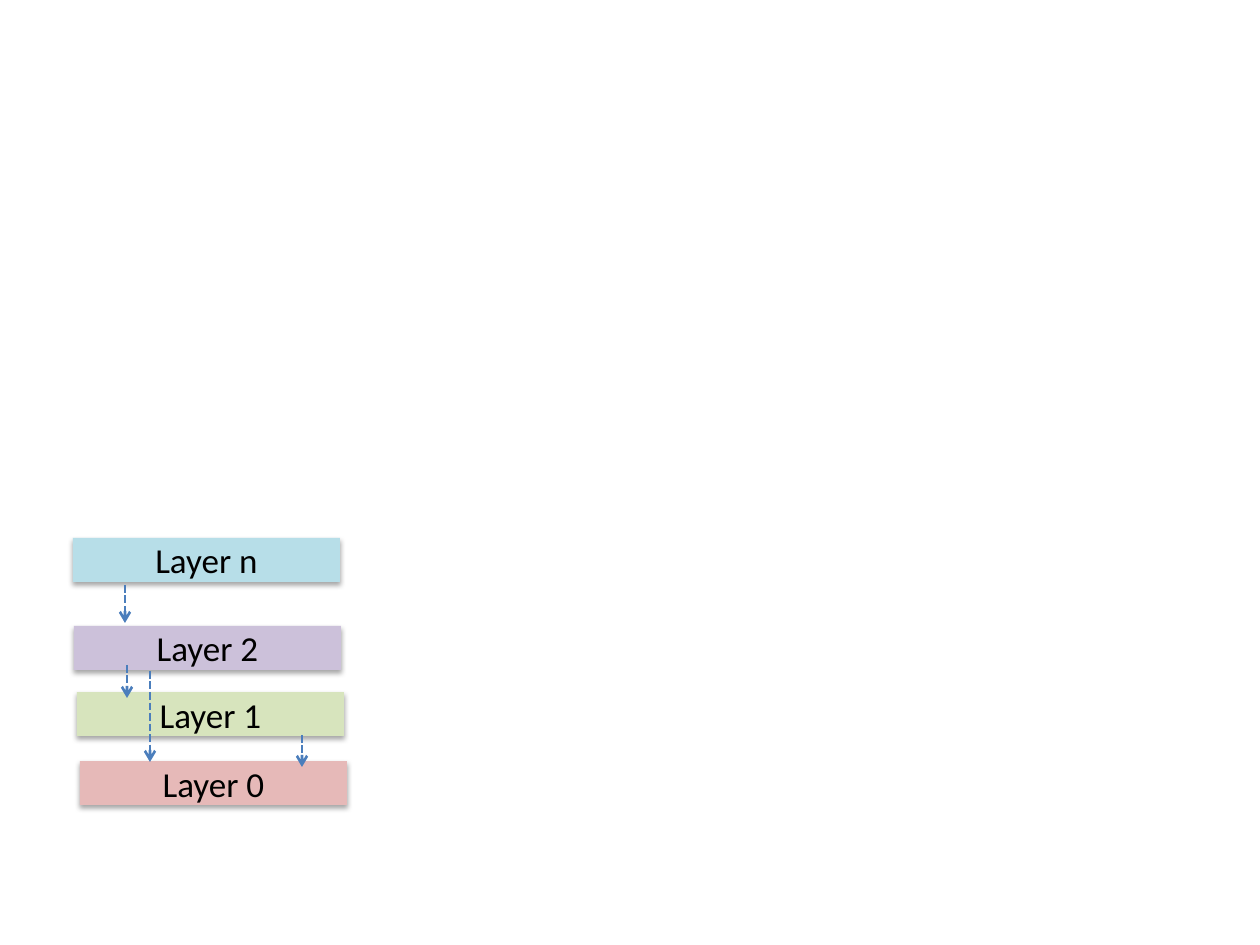
from typing import NamedTuple

from lxml.etree import SubElement
from pptx import Presentation
from pptx.dml.color import RGBColor
from pptx.enum.dml import MSO_LINE
from pptx.enum.shapes import MSO_CONNECTOR, MSO_SHAPE
from pptx.enum.text import MSO_ANCHOR, PP_ALIGN
from pptx.oxml.ns import qn
from pptx.util import Inches, Pt

PX_PER_INCH = 126
LAYER_WIDTH, LAYER_HEIGHT = 267, 44

BLACK = RGBColor(0x00, 0x00, 0x00)
ROSE = RGBColor(0xE6, 0xB9, 0xB8)
GREEN = RGBColor(0xD7, 0xE4, 0xBD)
VIOLET = RGBColor(0xCC, 0xC1, 0xDA)
AQUA = RGBColor(0xB7, 0xDE, 0xE8)
ARROW_BLUE = RGBColor(0x4B, 0x7E, 0xBC)


class Layer(NamedTuple):
    label: str
    left: int
    top: int
    fill: RGBColor


class Dependency(NamedTuple):
    x: int
    top: int
    bottom: int


LAYERS = (
    Layer("Layer 0", 80, 761, ROSE),
    Layer("Layer 1", 77, 692, GREEN),
    Layer("Layer 2", 74, 626, VIOLET),
    Layer("Layer n", 73, 538, AQUA),
)
DEPENDENCIES = (
    Dependency(127, 665, 698),
    Dependency(125, 585, 623),
    Dependency(150, 671, 762),
    Dependency(302, 735, 767),
)


def px(length: int) -> int:
    return Inches(length / PX_PER_INCH)


def write_text(frame, text: str, *, size: int, color: RGBColor,
               font: str = "Calibri", align=PP_ALIGN.CENTER) -> None:
    frame.vertical_anchor = MSO_ANCHOR.MIDDLE
    frame.word_wrap = True
    paragraph = frame.paragraphs[0]
    paragraph.alignment = align
    run = paragraph.add_run()
    run.text = text
    run.font.name = font
    run.font.size = Pt(size)
    run.font.color.rgb = color


def add_shadow(bar) -> None:
    bar.shadow.inherit = False
    effects = bar._element.spPr.find(qn("a:effectLst"))
    shadow = SubElement(effects, qn("a:outerShdw"), blurRad=str(Pt(3.1)),
                        dist=str(Pt(1.8)), dir="5400000", rotWithShape="0")
    color = SubElement(shadow, qn("a:srgbClr"), val=str(BLACK))
    SubElement(color, qn("a:alpha"), val="35000")


def draw_layer(slide, layer: Layer) -> None:
    bar = slide.shapes.add_shape(
        MSO_SHAPE.RECTANGLE, px(layer.left), px(layer.top),
        px(LAYER_WIDTH), px(LAYER_HEIGHT))
    bar.fill.solid()
    bar.fill.fore_color.rgb = layer.fill
    bar.line.fill.background()
    add_shadow(bar)
    write_text(bar.text_frame, layer.label, size=20, color=BLACK)


def draw_dependency(slide, dependency: Dependency) -> None:
    x = px(dependency.x)
    arrow = slide.shapes.add_connector(
        MSO_CONNECTOR.STRAIGHT, x, px(dependency.top), x, px(dependency.bottom))
    arrow.line.color.rgb = ARROW_BLUE
    arrow.line.width = Pt(1.5)
    arrow.line.dash_style = MSO_LINE.SQUARE_DOT
    SubElement(arrow.line._get_or_add_ln(), qn("a:tailEnd"), type="arrow")
    SubElement(arrow._element.spPr, qn("a:effectLst"))


def main() -> None:
    deck = Presentation()
    deck.slide_width, deck.slide_height = Inches(10), Inches(7.5)
    slide = deck.slides.add_slide(deck.slide_layouts[6])
    for layer in LAYERS:
        draw_layer(slide, layer)
    for dependency in DEPENDENCIES:
        draw_dependency(slide, dependency)
    deck.save("out.pptx")


if __name__ == "__main__":
    main()
